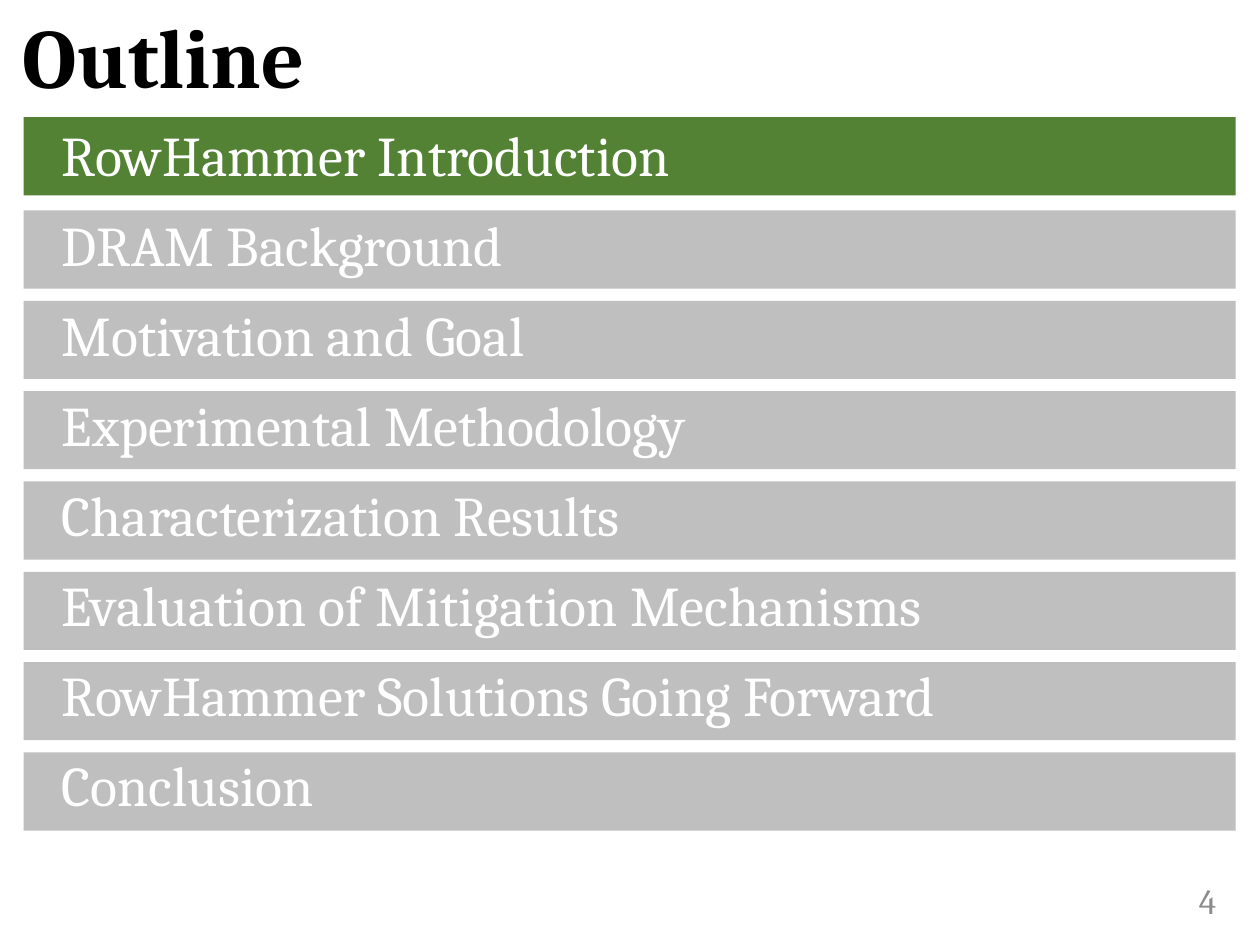
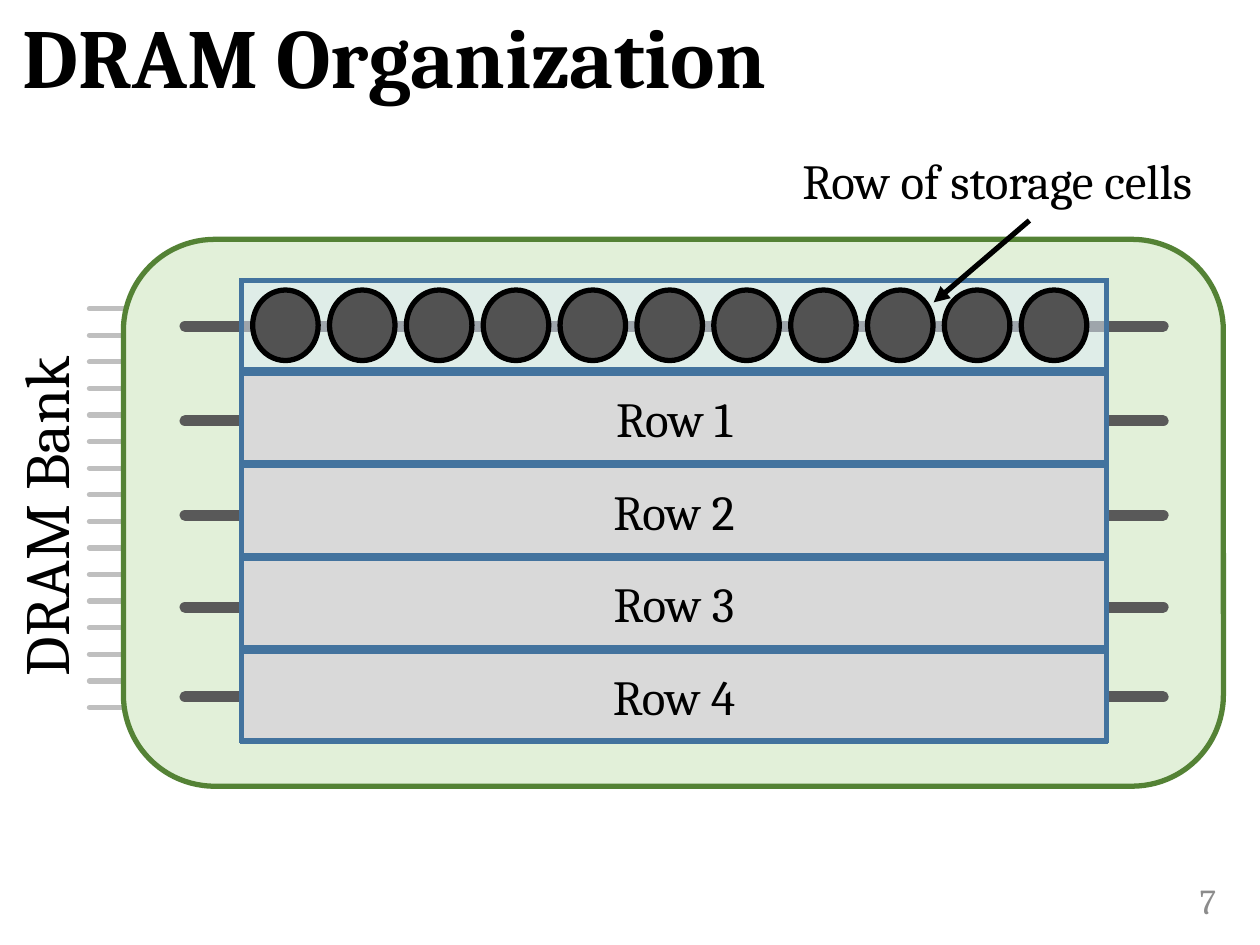
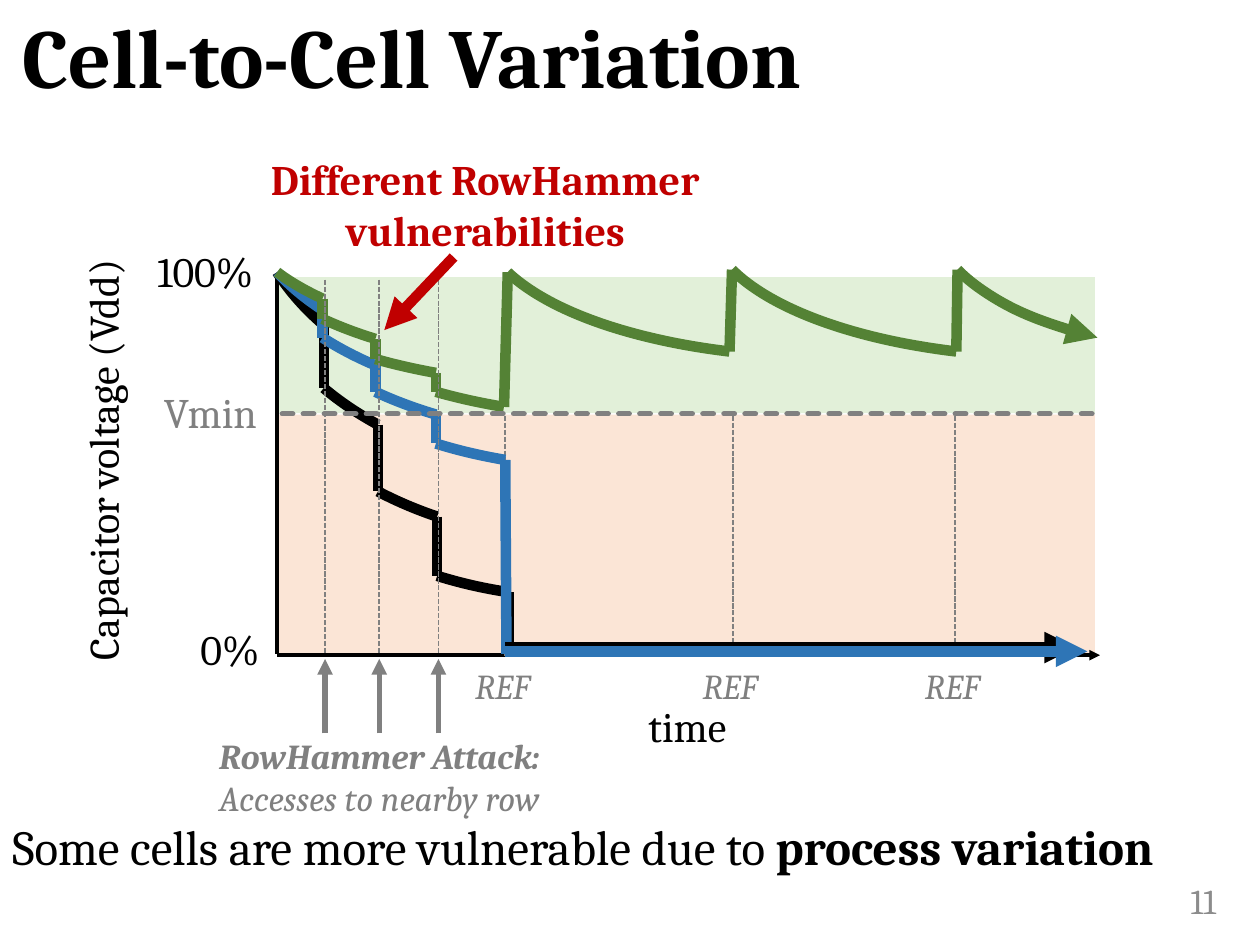
from collections.abc import Sequence
from itertools import pairwise
from math import atan2, degrees, hypot, sqrt
from typing import NamedTuple

from lxml.etree import SubElement
from pptx import Presentation
from pptx.dml.color import RGBColor
from pptx.enum.dml import MSO_LINE
from pptx.enum.shapes import MSO_CONNECTOR, MSO_SHAPE
from pptx.enum.text import MSO_ANCHOR as Anchor, MSO_AUTO_SIZE, PP_ALIGN as Align
from pptx.oxml.ns import qn
from pptx.util import Emu, Inches, Pt

# The slide is a grid of 100 columns and 75 rows of square cells.
COLUMNS, ROWS = 100, 75
CELL = Inches(0.1)

FONT = "Cambria"
BLACK, WHITE, GRAY, SILVER = "000000", "FFFFFF", "808080", "BFBFBF"
GREEN, PALE_GREEN, PALE_ORANGE = "548235", "E2F0D9", "FBE5D6"
BLUE, ROW_BLUE, RED = "2E75B6", "43739E", "C00000"
WIRE, CELL_FILL, ROW_FILL, NUMBER_GRAY = "595959", "525252", "D9D9D9", "8C8C8C"


class Box(NamedTuple):
    column: float
    row: float
    wide: float
    high: float


class Point(NamedTuple):
    column: float
    row: float


class Style(NamedTuple):
    size: float
    color: str = BLACK
    bold: bool = False
    italic: bool = False
    align: Align = Align.LEFT
    anchor: Anchor = Anchor.TOP
    leading: float = 1.0
    before: float = 0


class Stroke(NamedTuple):
    color: str
    width: float
    dashed: bool = False
    arrow: str = ""
    rounded: bool = False


class Decay(NamedTuple):
    start: Point
    end: Point


class Trace(NamedTuple):
    color: str
    arc_height: float
    decays: Sequence[Decay]
    floor: Point | None = None


HEAD, TAIL = "a:headEnd", "a:tailEnd"
TITLE = Style(48, bold=True, leading=0.9)
NUMBER = Style(20, NUMBER_GRAY, align=Align.RIGHT, anchor=Anchor.MIDDLE)
LABEL = Style(24, align=Align.CENTER, anchor=Anchor.MIDDLE)


# Shared helpers
def cells(count: float) -> Emu:
    return Emu(round(count * CELL))


def color(hex_code: str) -> RGBColor:
    return RGBColor.from_string(hex_code)


def place(shape, box: Box) -> None:
    shape.left, shape.top, shape.width, shape.height = map(cells, box)


def write(shape, lines: Sequence[str], style: Style) -> None:
    frame = shape.text_frame
    frame.text = "\n".join(lines)
    frame.vertical_anchor = style.anchor
    for index, para in enumerate(frame.paragraphs):
        para.alignment = style.align
        para.line_spacing = style.leading
        para.space_before = Pt(style.before if index else 0)
        for span in para.runs:
            font = span.font
            font.name, font.size = FONT, Pt(style.size)
            font.bold, font.italic = style.bold, style.italic
            font.color.rgb = color(style.color)


def add_text(page, box: Box, lines: Sequence[str], style: Style,
             wrap: bool = True, rotation: float = 0):
    label = page.shapes.add_textbox(*map(cells, box))
    write(label, lines, style)
    label.text_frame.word_wrap = wrap
    label.rotation = rotation
    return label


def apply_stroke(shape, stroke: Stroke) -> None:
    line = shape.line
    line.color.rgb = color(stroke.color)
    line.width = Pt(stroke.width)
    if stroke.dashed:
        line.dash_style = MSO_LINE.SQUARE_DOT
    outline = shape.element.spPr.find(qn("a:ln"))
    if stroke.rounded:
        outline.set("cap", "rnd")
    else:
        SubElement(outline, qn("a:miter"), lim="800000")
    if stroke.arrow:
        SubElement(outline, qn(stroke.arrow), type="triangle")


def add_shape(page, kind: MSO_SHAPE, box: Box, fill: str = "",
              stroke: Stroke | None = None):
    shape = page.shapes.add_shape(kind, *map(cells, box))
    shape.shadow.inherit = False
    if fill:
        shape.fill.solid()
        shape.fill.fore_color.rgb = color(fill)
    else:
        shape.fill.background()
    if stroke:
        apply_stroke(shape, stroke)
    else:
        shape.line.fill.background()
    return shape


def add_line(page, start: Point, end: Point, stroke: Stroke) -> None:
    line = page.shapes.add_connector(MSO_CONNECTOR.STRAIGHT, *map(cells, (*start, *end)))
    apply_stroke(line, stroke)
    SubElement(line.element.spPr, qn("a:effectLst"))


def start_page(deck, layout: int, title: str, number: int):
    page = deck.slides.add_slide(deck.slide_layouts[layout])
    heading = page.shapes.title
    place(heading, Box(0.8, 0.8, 98.3, 8.1))
    write(heading, [title], TITLE)
    heading.text_frame.auto_size = MSO_AUTO_SIZE.NONE
    add_text(page, Box(86.7, 69.5, 10.8, 4), [str(number)], NUMBER)
    return page


# Outline slide
def build_outline(deck) -> None:
    page = start_page(deck, 1, "Outline", 4)
    topics = ["RowHammer Introduction", "DRAM Background", "Motivation and Goal",
              "Experimental Methodology", "Characterization Results",
              "Evaluation of Mitigation Mechanisms",
              "RowHammer Solutions Going Forward", "Conclusion"]
    for index in range(len(topics)):
        row = 9.53 + 7.17 * index if index else 9.3
        add_shape(page, MSO_SHAPE.RECTANGLE, Box(1.87, row, 96.2, 6.2),
                  SILVER if index else "538234")

    body = page.placeholders[1]
    place(body, Box(3.9, 9.1, 88.8, 58.2))
    write(body, topics, Style(32, WHITE, before=13))
    body.text_frame.auto_size = MSO_AUTO_SIZE.NONE
    for para in body.text_frame.paragraphs:
        settings = para._p.get_or_add_pPr()
        settings.set("marL", "0")
        settings.set("indent", "0")
        SubElement(settings, qn("a:buNone"))
    body.element.getparent().append(body.element)  # text in front of the bars


# DRAM bank slide
def build_organization(deck) -> None:
    page = start_page(deck, 5, "DRAM Organization", 7)
    for index in range(16):
        row = 24.5 + 2.11 * index
        add_line(page, Point(7.1, row), Point(11.6, row), Stroke(SILVER, 3, rounded=True))
    add_shape(page, MSO_SHAPE.ROUNDED_RECTANGLE, Box(9.8, 19, 87.3, 43.4),
              PALE_GREEN, Stroke(GREEN, 3))
    add_text(page, Box(-10.4, 37.15, 27.9, 7.1), ["DRAM Bank"], Style(36),
             wrap=False, rotation=270)

    # Word lines and rows
    for row in (25.9, 33.4, 40.9, 48.2, 55.3):
        add_line(page, Point(14.7, row), Point(92.3, row), Stroke(WIRE, 6.5, rounded=True))
    first_row = Box(19.15, 22.25, 68.7, 7.1)
    add_shape(page, MSO_SHAPE.RECTANGLE, first_row._replace(row=51.9), ROW_FILL,
              Stroke(ROW_BLUE, 1))
    for index in range(5):
        bar = add_shape(page, MSO_SHAPE.RECTANGLE,
                        first_row._replace(row=22.25 + 7.36 * index),
                        ROW_FILL if index else "DEEBF7", Stroke(ROW_BLUE, 3))
        if index:
            write(bar, [f"Row {index}"], LABEL._replace(size=28))
        else:
            tint = bar.element.spPr.find(qn("a:solidFill"))[0]
            SubElement(tint, qn("a:alpha"), val="52000")

    # Storage cells
    add_text(page, Box(61.54, 11.45, 35.2, 5.7), ["Row of storage cells"],
             Style(28, align=Align.CENTER), wrap=False)
    add_line(page, Point(81.7, 17.5), Point(74.1, 24), Stroke(BLACK, 3, arrow=TAIL))
    for index in range(11):
        add_shape(page, MSO_SHAPE.OVAL, Box(20.05 + 6.1 * index, 23.02, 5.2, 5.6),
                  CELL_FILL, Stroke(BLACK, 3))


# Voltage slide
def add_decay(page, decay: Decay, arc_height: float, stroke: Stroke) -> None:
    """Draw a fall as the lower left part of an ellipse through both points."""
    across, down = 27.7, arc_height / 2
    (left, top), (right, bottom) = decay
    # Scaled to a unit circle, the centre lies up and right of the chord.
    step_x, step_y = (right - left) / across, (bottom - top) / down
    chord = hypot(step_x, step_y)
    reach = sqrt(1 - chord ** 2 / 4) / chord
    center_x = (left + right) / 2 + across * step_y * reach
    center_y = (top + bottom) / 2 - down * step_x * reach
    arc = add_shape(page, MSO_SHAPE.ARC,
                    Box(center_x - across, center_y - down, 2 * across, arc_height),
                    stroke=stroke)
    for index, point in enumerate((decay.end, decay.start)):
        angle = degrees(atan2(point.row - center_y, point.column - center_x))
        arc.adjustments[index] = angle * 0.6


def add_trace(page, trace: Trace) -> None:
    """Draw decays joined by jumps; without a floor the last decay is an arrow."""
    stroke = Stroke(trace.color, 6)
    final = trace.decays[-1]
    for decay in trace.decays:
        pointed = decay is final and trace.floor is None
        add_decay(page, decay, trace.arc_height,
                  stroke._replace(arrow=HEAD if pointed else ""))
    for before, after in pairwise(trace.decays):
        add_line(page, before.end, after.start, stroke)
    if trace.floor:
        add_line(page, final.end, trace.floor, stroke)


def build_variation(deck) -> None:
    page = start_page(deck, 5, "Cell-to-Cell Variation", 11)
    add_shape(page, MSO_SHAPE.RECTANGLE, Box(22, 22, 64.9, 10.8), PALE_GREEN)
    add_shape(page, MSO_SHAPE.RECTANGLE, Box(22, 32.9, 64.9, 19), PALE_ORANGE)

    # Axes and labels
    add_line(page, Point(22, 51.9), Point(22, 21.9), Stroke(BLACK, 2))
    add_line(page, Point(22, 52), Point(87.3, 52), Stroke(BLACK, 2, arrow=TAIL))
    add_text(page, Box(-19.3, 34.2, 54.8, 4.6), ["Capacitor voltage (Vdd)"], LABEL,
             rotation=270)
    for box, level, hue in ((Box(11, 19, 10.6, 5), "100%", BLACK),
                            (Box(14.8, 49, 6.9, 5), "0%", BLACK),
                            (Box(11.95, 30.2, 9.5, 5), "Vmin", GRAY)):
        add_text(page, box, [level], Style(24, hue, align=Align.CENTER), wrap=False)
    add_text(page, Box(40.15, 55.3, 28.8, 4.6), ["time"], LABEL)

    # Refresh marks
    for column in (40.1, 58.15, 75.8):
        add_line(page, Point(column, 33), Point(column, 52.1), Stroke(GRAY, 1, dashed=True))
        add_text(page, Box(column - 4.45, 52.35, 8.5, 4.1), ["REF"],
                 LABEL._replace(size=20, color=GRAY, italic=True))

    # Voltage of three cells
    peak = Point(22, 21.6)
    traces = [
        Trace(BLACK, 37.5, [
            Decay(peak, Point(25.7, 25.8)),
            Decay(Point(25.7, 30.8), Point(30, 33.7)),
            Decay(Point(30, 39), Point(34.7, 41)),
            Decay(Point(34.7, 45.7), Point(40.4, 47)),
        ], floor=Point(40.4, 51.9)),
        Trace(BLUE, 30.8, [
            Decay(peak, Point(25.6, 24.6)),
            Decay(Point(25.6, 26.8), Point(29.8, 29)),
            Decay(Point(29.8, 31.1), Point(34.6, 32.9)),
            Decay(Point(34.6, 35.2), Point(40.1, 36.5)),
        ], floor=Point(40.2, 51.9)),
        Trace(GREEN, 22.1, [
            Decay(peak, Point(25.6, 23.7)),
            Decay(Point(25.6, 25.3), Point(29.8, 26.9)),
            Decay(Point(29.8, 28.5), Point(34.6, 29.6)),
            Decay(Point(34.6, 31.1), Point(40, 32.3)),
            Decay(Point(40.3, 21.6), Point(57.9, 27.9)),
            Decay(Point(58.1, 21.4), Point(75.9, 27.9)),
            Decay(Point(76, 21.4), Point(87.1, 26.8)),
        ]),
    ]
    for trace in traces:
        add_trace(page, trace)

    # Attack marks
    for column in (25.8, 30.1, 34.8):
        add_line(page, Point(column, 22.2), Point(column, 51.8), Stroke(GRAY, 1, dashed=True))
        add_line(page, Point(column, 58.2), Point(column, 52.3), Stroke(GRAY, 3, arrow=TAIL))
    add_text(page, Box(19.75, 13.9, 37.5, 4.6), ["Different RowHammer vulnerabilities"],
             LABEL._replace(color=RED, bold=True))
    add_line(page, Point(36, 20.4), Point(30.5, 26.2), Stroke(RED, 6, arrow=TAIL))

    # Conclusion
    remark = add_text(page, Box(0, 64.8, COLUMNS, 4.9),
                      ["Some cells are more vulnerable due to "], Style(28, leading=0.9))
    emphasis = remark.text_frame.paragraphs[0].add_run()
    emphasis.text = "process variation"
    emphasis.font.name, emphasis.font.size = FONT, Pt(28)
    emphasis.font.bold = True
    emphasis.font.color.rgb = color(BLACK)

    # Discharged cells and the attack caption
    add_line(page, Point(40.1, 51.4), Point(85.4, 51.4), Stroke(BLACK, 6, arrow=TAIL))
    add_line(page, Point(40.1, 51.7), Point(86.3, 51.7), Stroke(BLUE, 6, arrow=TAIL))
    caption = add_text(page, Box(11.35, 59.3, 37.5, 4.6),
                       ["RowHammer Attack:", "Accesses to nearby row"],
                       LABEL._replace(size=20, color=GRAY, italic=True))
    caption.text_frame.paragraphs[0].runs[0].font.bold = True
    add_line(page, Point(22.4, 32.85), Point(86.9, 32.85),
             Stroke(GRAY, 3, dashed=True, rounded=True))


def main() -> None:
    deck = Presentation()
    deck.slide_width, deck.slide_height = cells(COLUMNS), cells(ROWS)
    build_outline(deck)
    build_organization(deck)
    build_variation(deck)
    deck.save("out.pptx")


if __name__ == "__main__":
    main()
